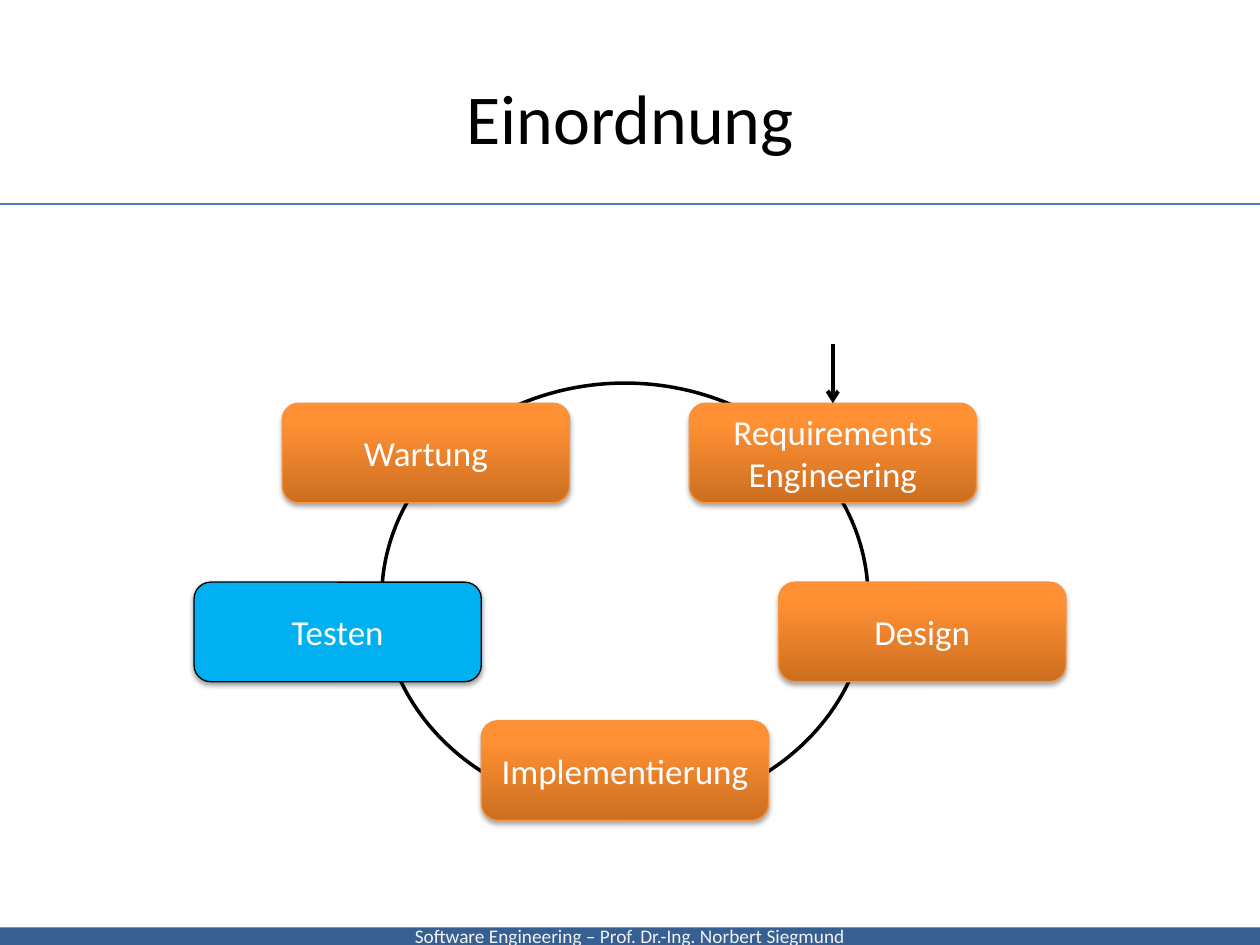
from copy import deepcopy

from lxml.etree import SubElement
from pptx import Presentation
from pptx.dml.color import RGBColor
from pptx.enum.shapes import MSO_CONNECTOR as CONN, MSO_SHAPE as SHAPE
from pptx.enum.text import MSO_ANCHOR as ANCHOR, PP_ALIGN as ALIGN
from pptx.oxml.ns import qn
from pptx.util import Inches, Pt

WIDTH, HEIGHT = 10, 7.5
BOX_W, BOX_H = 2.28, 0.79
ORANGE = [(0, "CC6E20"), (0.8, "FF9034"), (1, "FF9136")]

# Phase name, left, top
PHASES = [
    ("Requirements Engineering", 5.47, 3.2),
    ("Design", 6.18, 4.62),
    ("Implementierung", 3.82, 5.72),
    ("Testen", 1.54, 4.62),
    ("Wartung", 2.24, 3.2),
]
CURRENT = "Testen"


def rgb(value):
    return RGBColor.from_string(value)


def set_text(sp, text, size, color):
    tf = sp.text_frame
    tf.text = text
    tf.word_wrap = True
    tf.vertical_anchor = ANCHOR.MIDDLE
    p = tf.paragraphs[0]
    p.alignment = ALIGN.CENTER
    font = p.runs[0].font
    font.name, font.size = "Calibri", Pt(size)
    font.color.rgb = rgb(color)


def set_line(sp, color, width):
    sp.line.color.rgb = rgb(color)
    sp.line.width = Pt(width)


def add_shape(s, kind, left, top, width, height, fill=None):
    sp = s.shapes.add_shape(kind, *map(Inches, (left, top, width, height)))
    sp.shadow.inherit = False
    if fill:
        sp.fill.solid()
        sp.fill.fore_color.rgb = rgb(fill)
    else:
        sp.fill.background()
    return sp


def add_line(s, start, end, color, width):
    line = s.shapes.add_connector(CONN.STRAIGHT, *map(Inches, start + end))
    set_line(line, color, width)
    SubElement(line._element.spPr, qn("a:effectLst"))
    return line


def set_gradient(sp, stops):
    sp.fill.gradient()
    sp.fill.gradient_angle = 90
    gs_list = sp._element.spPr.find(qn("a:gradFill")).find(qn("a:gsLst"))
    gs_list.append(deepcopy(gs_list[-1]))
    for stop, (position, color) in zip(sp.fill.gradient_stops, stops):
        stop.position = position
        stop.color.rgb = rgb(color)


def set_shadow(sp, opacity, distance):
    effects = sp._element.spPr.find(qn("a:effectLst"))
    shadow = SubElement(effects, qn("a:outerShdw"), blurRad=str(Pt(3.1)),
                        dist=str(Pt(distance)), dir="5400000", rotWithShape="0")
    color = SubElement(shadow, qn("a:srgbClr"), val="000000")
    SubElement(color, qn("a:alpha"), val=str(opacity * 1000))


def add_phase(s, name, left, top):
    sp = add_shape(s, SHAPE.ROUNDED_RECTANGLE, left, top, BOX_W, BOX_H, "00B0F0")
    if name == CURRENT:
        set_line(sp, "000000", 0.75)
        set_shadow(sp, 38, 1.6)
    else:
        set_gradient(sp, ORANGE)
        set_line(sp, "F69240", 0.75)
        set_shadow(sp, 35, 1.8)
    set_text(sp, name, 20, "FFFFFF")
    return sp


def add_frame(s):
    # Footer bar and rule under the title
    footer = add_shape(s, SHAPE.RECTANGLE, 0, HEIGHT - 0.14, WIDTH, 0.14, "376092")
    footer.line.fill.background()
    set_text(footer, "Software Engineering – Prof. Dr.-Ing. Norbert Siegmund", 11, "F2F2F2")
    add_line(s, (0, 1.62), (WIDTH, 1.62), "4B7EBC", 0.75)

    title = s.shapes.title
    title.left, title.top, title.width, title.height = map(Inches, (0.5, 0.3, 9, 1.25))
    set_text(title, "Einordnung", 40, "000000")


def add_cycle(s):
    # Ring behind the phases
    ring = add_shape(s, SHAPE.OVAL, 3.03, 3.04, 3.86, 3.41)
    set_line(ring, "000000", 2)
    boxes = [add_phase(s, *phase) for phase in PHASES]

    # Entry arrow into the first phase
    _, left, top = PHASES[0]
    x = left + BOX_W / 2
    arrow = add_line(s, (x, top - 0.47), (x, top), "000000", 2.25)
    arrow.end_connect(boxes[0], 0)
    SubElement(arrow.line._get_or_add_ln(), qn("a:tailEnd"), type="arrow")


def main():
    prs = Presentation()
    prs.slide_width, prs.slide_height = Inches(WIDTH), Inches(HEIGHT)
    s = prs.slides.add_slide(prs.slide_layouts[5])
    add_frame(s)
    add_cycle(s)
    prs.save("out.pptx")


if __name__ == "__main__":
    main()
